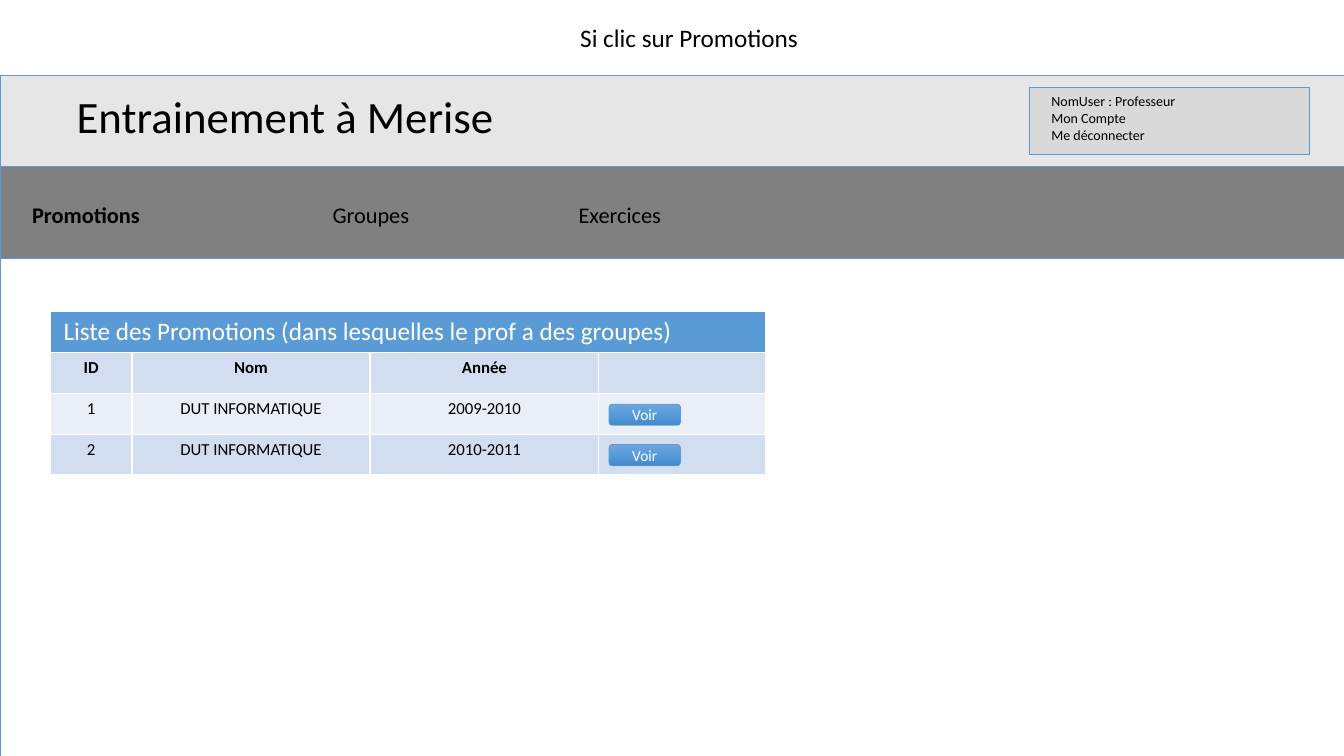
from copy import deepcopy
from lxml.etree import SubElement
from pptx import Presentation
from pptx.dml.color import RGBColor
from pptx.enum.shapes import MSO_SHAPE
from pptx.enum.text import MSO_ANCHOR, PP_ALIGN
from pptx.oxml import parse_xml
from pptx.oxml.ns import nsdecls, qn
from pptx.util import Inches, Pt

FONT = "Calibri"
HEX = {
    "black": "000000", "white": "FFFFFF", "blue": "5B9BD5", "menu": "808080",
    "head": "E7E6E6", "user": "D9D9D9", "dark": "D2DEEF", "light": "EAEFF7",
    "top": "71A6DB", "mid": "559BDB", "low": "448ACA",
}
ROWS = [
    ("ID", "Nom", "Année", ""),
    ("1", "DUT INFORMATIQUE", "2009-2010", ""),
    ("2", "DUT INFORMATIQUE", "2010-2011", ""),
]


def color(name):
    return RGBColor.from_string(HEX[name])


def write(frame, text, size, tint="black", bold=False, align=PP_ALIGN.LEFT):
    frame.text = text
    frame.word_wrap = True
    for para in frame.paragraphs:
        para.alignment = align
        for run in para.runs:
            font = run.font
            font.name, font.size, font.bold = FONT, Pt(size), bold
            font.color.rgb = color(tint)


def add_label(slide, box, text, size, **style):
    label = slide.shapes.add_textbox(*map(Inches, box))
    write(label.text_frame, text, size, **style)


def add_box(slide, box, fill=None, kind=MSO_SHAPE.RECTANGLE):
    shape = slide.shapes.add_shape(kind, *map(Inches, box))
    shape.shadow.inherit = False
    shape.line.color.rgb = color("blue")
    shape.line.width = Pt(0.5)
    if fill:
        shape.fill.solid()
        shape.fill.fore_color.rgb = color(fill)
    else:
        shape.fill.background()
    return shape


def add_button(slide, box, text):
    button = add_box(slide, box, "mid", MSO_SHAPE.ROUNDED_RECTANGLE)
    fill = button.fill
    fill.gradient()
    fill.gradient_angle = 270
    stops = button._element.spPr.find(".//" + qn("a:gsLst"))
    stops.insert(1, deepcopy(stops[0]))
    for stop, place, tint in zip(fill.gradient_stops, (0, 0.5, 1), ("top", "mid", "low")):
        stop.position = place
        stop.color.rgb = color(tint)
    button.text_frame.vertical_anchor = MSO_ANCHOR.MIDDLE
    write(button.text_frame, text, 11, "white", align=PP_ALIGN.CENTER)


def set_title(slide, box, text):
    title = slide.shapes.title
    title.left, title.top, title.width, title.height = map(Inches, box)
    write(title.text_frame, text, 32)
    title.text_frame.vertical_anchor = MSO_ANCHOR.TOP
    slide.shapes._spTree.append(title._element)


def paint(cell, fill):
    cell.fill.solid()
    cell.fill.fore_color.rgb = color(fill)
    cell.margin_left = cell.margin_right = Inches(0.13)
    props = cell._tc.get_or_add_tcPr()
    for spot, side in enumerate("LRTB"):
        line = parse_xml(f'<a:ln{side} {nsdecls("a")} w="{Pt(1)}"/>')
        solid = SubElement(line, qn("a:solidFill"))
        SubElement(solid, qn("a:srgbClr"), val=HEX["white"])
        props.insert(spot, line)


def add_list(slide, box, widths, title, rows):
    table = slide.shapes.add_table(len(rows) + 1, len(widths), *map(Inches, box)).table
    table.first_row = table.horz_banding = False
    for column, width in zip(table.columns, widths):
        column.width = Inches(width)
    head = table.cell(0, 0)
    head.merge(table.cell(0, len(widths) - 1))
    paint(head, "blue")
    write(head.text_frame, title, 18, "white")
    for r, row in enumerate(rows, 1):
        for c, text in enumerate(row):
            cell = table.cell(r, c)
            paint(cell, "dark" if r % 2 else "light")
            if text:
                write(cell.text_frame, text, 12, bold=r == 1, align=PP_ALIGN.CENTER)


def main():
    """Build the promotions page mock-up and save it."""
    deck = Presentation()
    deck.slide_width, deck.slide_height = Inches(13.33), Inches(7.5)
    slide = deck.slides.add_slide(deck.slide_layouts[5])

    add_list(slide, (0.5, 3.09, 7.09, 1.62), (0.81, 2.36, 2.27, 1.65),
             "Liste des Promotions (dans lesquelles le prof a des groupes)", ROWS)
    add_box(slide, (0, 1.65, 13.33, 0.91), "menu")
    add_box(slide, (0, 0.75, 13.33, 0.9), "head")
    set_title(slide, (0.66, 0.83, 5.89, 0.64), "Entrainement à Merise")
    add_label(slide, (2.56, 0.17, 8.55, 0.4), "Si clic sur Promotions", 18,
              align=PP_ALIGN.CENTER)

    add_box(slide, (10.21, 0.87, 2.78, 0.66), "user")
    add_label(slide, (10.33, 0.87, 2.28, 0.61),
              "NomUser : Professeur\nMon Compte\nMe déconnecter", 10)

    tabs = (("Promotions", 0.22, 2.97), ("Groupes", 3.2, 2.44), ("Exercices", 5.64, 2.44))
    for text, left, width in tabs:
        add_label(slide, (left, 1.95, width, 0.37), text, 16, bold=text == "Promotions")

    add_box(slide, (0, 2.56, 13.33, 4.94))
    for top in (4.01, 4.41):
        add_button(slide, (6.04, top, 0.71, 0.21), "Voir")

    deck.save("out.pptx")


main()
